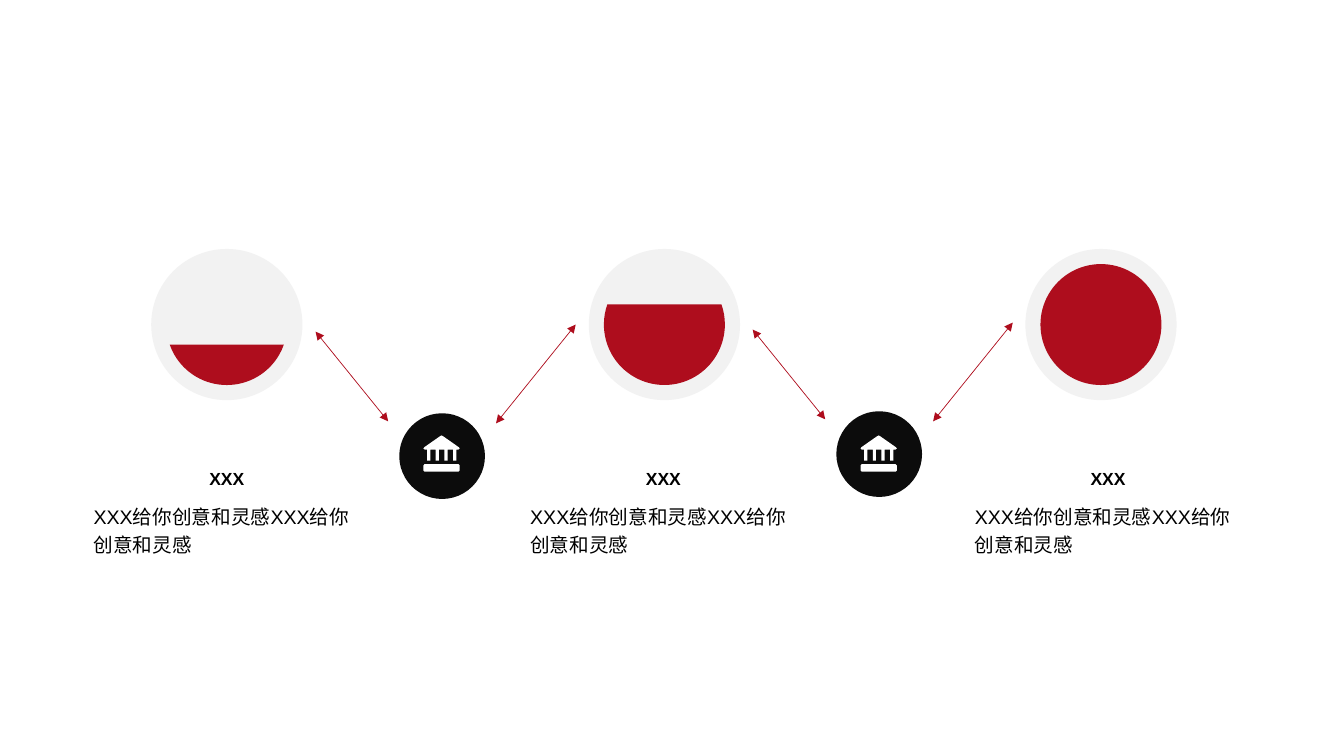
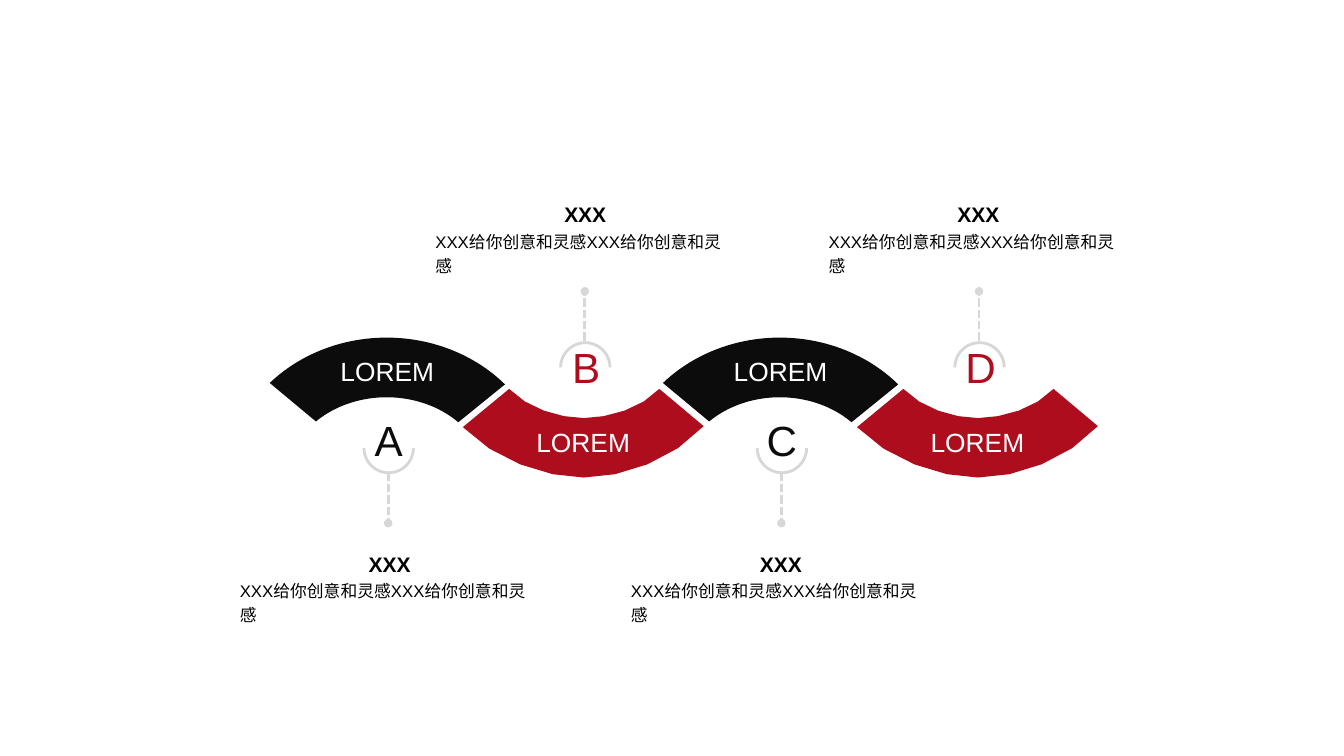
from lxml.etree import SubElement
from pptx import Presentation
from pptx.dml.color import RGBColor
from pptx.enum.dml import MSO_LINE
from pptx.enum.shapes import MSO_CONNECTOR, MSO_SHAPE
from pptx.enum.text import MSO_ANCHOR, MSO_AUTO_SIZE, PP_ALIGN
from pptx.oxml.ns import qn
from pptx.util import Inches, Pt

RED = RGBColor(0xAE, 0x0D, 0x1D)
INK = RGBColor(0x0C, 0x0C, 0x0C)
BLACK = RGBColor(0, 0, 0)
WHITE = RGBColor(0xFF, 0xFF, 0xFF)
PALE = RGBColor(0xF2, 0xF2, 0xF2)
GREY = RGBColor(0xD7, 0xD7, 0xD7)
FONT = "Arial"
HEADING = "XXX"
BODY = "XXX给你创意和灵感XXX给你创意和灵感"
MIL = Inches(0.001)  # unit of the freeform outlines


def add_text(slide, text, box=None, shape=None, size=14, color=BLACK, bold=False,
             align=PP_ALIGN.LEFT, spacing=1.2, top=0, bottom=0):
    """Write text in a new box, or centred vertically inside a given shape."""
    if shape is None:
        frame = slide.shapes.add_textbox(*map(Inches, box)).text_frame
        frame.auto_size = MSO_AUTO_SIZE.SHAPE_TO_FIT_TEXT
    else:
        frame = shape.text_frame
        frame.vertical_anchor = MSO_ANCHOR.MIDDLE
        frame.margin_left = frame.margin_right = 0
        frame.margin_top, frame.margin_bottom = Inches(top), Inches(bottom)
    frame.word_wrap = True
    paragraph = frame.paragraphs[0]
    paragraph.alignment = align
    paragraph.line_spacing = spacing
    run = paragraph.add_run()
    run.text = text
    run.font.name = FONT
    run.font.size = Pt(size)
    run.font.bold = bold
    run.font.color.rgb = color


def add_line(slide, start, end, color, width, head=None, tail=None, dash=None):
    """Draw a straight line with optional end marks."""
    line = slide.shapes.add_connector(MSO_CONNECTOR.STRAIGHT,
                                      *map(Inches, (*start, *end)))
    line.line.color.rgb = color
    line.line.width = Pt(width)
    if dash:
        line.line.dash_style = dash
    properties = line._element.spPr
    outline = properties.find(qn("a:ln"))
    for tag, mark in (("a:headEnd", head), ("a:tailEnd", tail)):
        if mark:
            SubElement(outline, qn(tag)).set("type", mark)
    SubElement(properties, qn("a:effectLst"))


deck = Presentation()
deck.slide_width, deck.slide_height = Inches(13.33), Inches(7.5)
blank = deck.slide_layouts[6]
filled = []  # (shape, fill colour), styled together at the end

# Slide 1: three filling gauges joined by two hubs
gauges = deck.slides.add_slide(blank)
gauge_lefts = [1.5, 5.84, 10.17]
levels = [(11.683, 96.317), (204.317, 119.683), (162, 162)]
text_lefts = [0.83, 5.16, 9.57]
for left, angles, text_left in zip(gauge_lefts, levels, text_lefts):
    dial = gauges.shapes.add_shape(MSO_SHAPE.OVAL, Inches(left), Inches(2.47),
                                   Inches(1.5), Inches(1.5))
    level = gauges.shapes.add_shape(MSO_SHAPE.CHORD, Inches(left + 0.15), Inches(2.62),
                                    Inches(1.2), Inches(1.2))
    level.adjustments[0], level.adjustments[1] = angles
    filled += [(dial, PALE), (level, RED)]
    add_text(gauges, BODY, box=(text_left, 4.91, 2.84, 0.67))
    add_text(gauges, HEADING, box=(text_left + 0.27, 4.55, 2.3, 0.34),
             size=12.5, bold=True, align=PP_ALIGN.CENTER)

# Bank icon: roof, base and four columns
bank = [
    [(165, 8), (180, 0), (195, 8), (352, 118), (360, 130), (348, 140),
     (12, 140), (0, 130), (8, 118)],
    [(12, 285), (348, 285), (360, 297), (360, 348), (348, 360),
     (12, 360), (0, 348), (0, 297)],
]
for x in range(36, 360, 86):
    bank.append([(x, 138), (x + 32, 138), (x + 32, 250), (x, 250)])
roof, *rest = bank

# Hubs with their double arrows
for i in range(2):
    shift, rise = 4.335 * i, 0.02 * i
    for start, end in (((3.13, 3.29), (3.85, 4.18)), ((5.71, 3.22), (4.92, 4.2))):
        add_line(gauges, (start[0] + shift, start[1] - rise),
                 (end[0] + shift, end[1] - rise), RED, 0.5,
                 head="triangle", tail="triangle")
    hub = gauges.shapes.add_shape(MSO_SHAPE.OVAL, Inches(3.96 + shift),
                                  Inches(4.1 - rise), Inches(0.85), Inches(0.85))
    outline = gauges.shapes.build_freeform(*roof[0], scale=MIL)
    outline.add_line_segments(roof[1:], close=True)
    for part in rest:
        outline.move_to(*part[0])
        outline.add_line_segments(part[1:], close=True)
    icon = outline.convert_to_shape(Inches(4.2 + shift), Inches(4.32))
    filled += [(hub, INK), (icon, WHITE)]

# Slide 2: a wave of four links, labelled in turn below and above
wave = deck.slides.add_slide(blank)

# Outline of a lower link, measured from its centre line: outer and inner edge
curves = [
    [(1180, 4230), (880, 4560), (390, 4740), (-10, 4740)],
    [(-10, 4740), (-400, 4740), (-900, 4560), (-1210, 4240)],
    [(-750, 3860), (-570, 4050), (-260, 4150), (-10, 4150)],
    [(-10, 4150), (240, 4150), (570, 4050), (740, 3860)],
]
STEPS = 4
link_points = [curves[0][0]]
for a, b, c, d in curves:
    if a != link_points[-1]:
        link_points.append(a)
    for t in (n / STEPS for n in range(1, STEPS + 1)):
        link_points.append(tuple(
            (1 - t) ** 3 * a[k] + 3 * (1 - t) ** 2 * t * b[k]
            + 3 * (1 - t) * t ** 2 * c[k] + t ** 3 * d[k] for k in (0, 1)))

centers = [3.85, 5.8, 7.75, 9.71]
label_lefts = [2.28, 4.22, 6.16, 8.12]
for i, (letter, center, label_left) in enumerate(zip("ABCD", centers, label_lefts)):
    if i % 2 == 0:
        color, heading_top, body_top = INK, 5.37, 5.67
        letter_left, letter_top, cup_top = center - 0.36, 4.16, 4.2
        stem, cup_angles, margins = (4.69, 5.19), (0, 108), {"bottom": 0.18}
        link = wave.shapes.add_shape(MSO_SHAPE.BLOCK_ARC, Inches(center - 1.6),
                                     Inches(3.35), Inches(3.17), Inches(2.83))
        for k, value in enumerate((131.867, 192.598, 0.209)):
            link.adjustments[k] = value
    else:
        color, heading_top, body_top = RED, 1.9, 2.21
        letter_left, letter_top, cup_top = center - 0.35, 3.43, 3.4
        stem, cup_angles, margins = (3.38, 2.89), (108, 0), {"top": 0.18}
        outline = wave.shapes.build_freeform(*link_points[0], scale=MIL)
        outline.add_line_segments(link_points[1:], close=True)
        link = outline.convert_to_shape(Inches(center), 0)
    filled.append((link, color))
    add_text(wave, "LOREM", shape=link, size=18.8, color=WHITE,
             align=PP_ALIGN.CENTER, spacing=1.0, **margins)

    # Letter in its half-round cup, with a dashed stem
    cup = wave.shapes.add_shape(MSO_SHAPE.ARC, Inches(center - 0.24), Inches(cup_top),
                                Inches(0.49), Inches(0.49))
    cup.adjustments[0], cup.adjustments[1] = cup_angles
    cup.shadow.inherit = False
    cup.fill.background()
    cup.line.color.rgb = GREY
    cup.line.width = Pt(2)
    add_line(wave, (center, stem[0]), (center, stem[1]), GREY, 2,
             tail="oval", dash=MSO_LINE.SQUARE_DOT)
    add_text(wave, letter, box=(letter_left, letter_top, 0.73, 0.51), size=30.1,
             color=color, align=PP_ALIGN.CENTER, spacing=0.8)

    # Heading and description
    add_text(wave, BODY, box=(label_left, body_top, 3.17, 0.59), size=12)
    add_text(wave, HEADING, box=(label_left + 0.53, heading_top, 2.11, 0.38), size=15,
             bold=True, align=PP_ALIGN.CENTER)

# Flat fills without lines or shadows
for shape, color in filled:
    shape.shadow.inherit = False
    shape.fill.solid()
    shape.fill.fore_color.rgb = color
    shape.line.fill.background()

deck.save("out.pptx")
